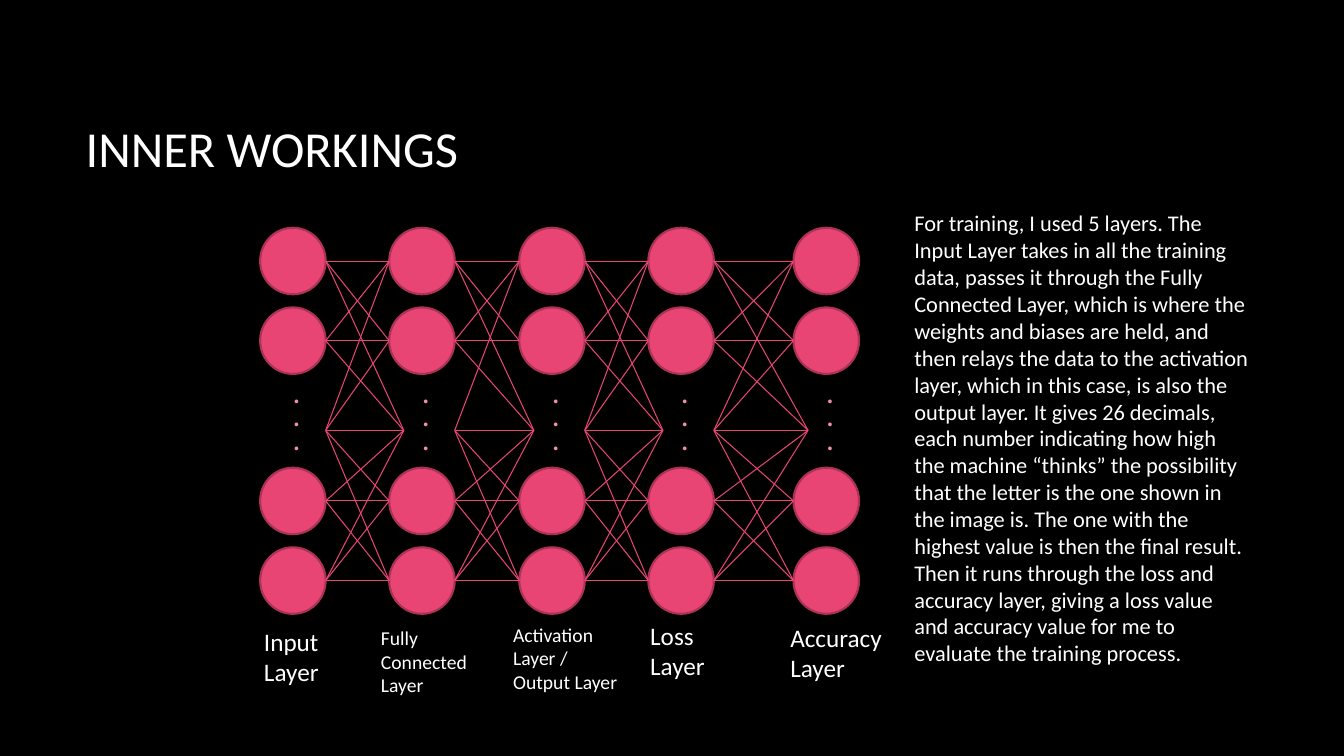
"""Build a slide that shows a neural network of five layers."""
from dataclasses import dataclass
from itertools import product

from lxml.etree import SubElement
from pptx import Presentation
from pptx.dml.color import RGBColor
from pptx.enum.shapes import MSO_CONNECTOR as Link, MSO_SHAPE as Form
from pptx.enum.text import MSO_ANCHOR as Anchor, MSO_AUTO_SIZE as Fit, PP_ALIGN as Align
from pptx.oxml.ns import qn
from pptx.slide import Slide
from pptx.text.text import TextFrame
from pptx.util import Inches, Pt

BLACK = RGBColor(0x00, 0x00, 0x00)
WHITE = RGBColor(0xFF, 0xFF, 0xFF)
PINK = RGBColor(0xE8, 0x45, 0x74)
ROSE = RGBColor(0xAC, 0x33, 0x56)
PALE = RGBColor(0xF1, 0x8F, 0xAC)

WIDE, TALL = 0.65, 0.66
NODES = (2.26, 3.05, 4.64, 5.43)
ROWS = (2.59, 3.38, 4.27, 4.97, 5.76)
MID = 2
INSET = 0.145
SKIP = {(1, MID, 1)}

STORY = (
    "For training, I used 5 layers. The Input Layer takes in all the training data, "
    "passes it through the Fully Connected Layer, which is where the weights and biases "
    "are held, and then relays the data to the activation layer, which in this case, is "
    "also the output layer. It gives 26 decimals, each number indicating how high the "
    "machine “thinks” the possibility that the letter is the one shown in the image is. "
    "The one with the highest value is then the final result. Then it runs through the "
    "loss and accuracy layer, giving a loss value and accuracy value for me to evaluate "
    "the training process."
)


@dataclass(frozen=True)
class Box:
    left: float
    top: float
    width: float
    height: float

    def sides(self) -> tuple:
        return tuple(map(Inches, (self.left, self.top, self.width, self.height)))


@dataclass(frozen=True)
class Layer:
    left: float
    name: str
    box: Box
    size: int = 18


LAYERS = (
    Layer(2.58, "Input Layer", Box(2.52, 6.16, 0.74, 0.71)),
    Layer(3.86, "Fully Connected Layer", Box(3.68, 6.16, 1.07, 0.81), 14),
    Layer(5.15, "Activation Layer / Output Layer", Box(4.99, 6.13, 1.25, 0.81), 14),
    Layer(6.43, "Loss Layer", Box(6.35, 6.1, 1.05, 0.71)),
    Layer(7.87, "Accuracy Layer", Box(7.74, 6.12, 1.27, 0.71)),
)


def write(frame: TextFrame, text: str, *, size: int, color: RGBColor = WHITE,
          bold: bool = False, fit: Fit = Fit.SHAPE_TO_FIT_TEXT,
          anchor: Anchor = Anchor.TOP) -> None:
    frame.word_wrap = True
    frame.auto_size = fit
    frame.vertical_anchor = anchor
    line = frame.paragraphs[0]
    line.alignment = Align.LEFT
    run = line.add_run()
    run.text = text
    font = run.font
    font.name, font.size, font.bold = "Calibri", Pt(size), bold
    font.color.rgb = color


def label(slide: Slide, box: Box, text: str, size: int) -> None:
    write(slide.shapes.add_textbox(*box.sides()).text_frame, text, size=size)


def node(slide: Slide, left: float, top: float) -> None:
    disc = slide.shapes.add_shape(Form.OVAL, *Box(left, top, WIDE, TALL).sides())
    disc.shadow.inherit = False
    disc.fill.solid()
    disc.fill.fore_color.rgb = PINK
    disc.line.color.rgb = ROSE
    disc.line.width = Pt(1.5)


def dots(slide: Slide, left: float) -> None:
    box = Box(left + INSET, 3.84, 0.5, 0.87)
    frame = slide.shapes.add_textbox(*box.sides()).text_frame
    write(frame, ". . .", size=18, color=PALE, bold=True)
    frame.margin_top = Inches(0.11)
    frame._txBody.bodyPr.set("vert", "eaVert")
    frame.paragraphs[0].runs[0].font._element.set("spc", "405")


def link(slide: Slide, start: tuple[float, float], end: tuple[float, float]) -> None:
    wire = slide.shapes.add_connector(Link.STRAIGHT, *map(Inches, start + end))
    wire.line.color.rgb = PINK
    wire.line.width = Pt(0.75)
    SubElement(wire._element.spPr, qn("a:effectLst"))


def web(slide: Slide) -> None:
    for gap, (near, far) in enumerate(zip(LAYERS, LAYERS[1:])):
        for a, b in product(range(len(ROWS)), repeat=2):
            half = max(a, b) <= MID or min(a, b) >= MID
            if half and (gap, a, b) not in SKIP:
                end = far.left + (INSET if b == MID else 0)
                link(slide, (near.left + WIDE, ROWS[a]), (end, ROWS[b]))


def main() -> None:
    deck = Presentation()
    deck.slide_width, deck.slide_height = Inches(13.33), Inches(7.5)
    slide = deck.slides.add_slide(deck.slide_layouts[5])
    slide.background.fill.solid()
    slide.background.fill.fore_color.rgb = BLACK

    title = slide.shapes.title
    title.left, title.top, title.width, title.height = Box(0.75, 0.67, 11.08, 1.59).sides()
    write(title.text_frame, "INNER WORKINGS", size=36, fit=Fit.NONE, anchor=Anchor.MIDDLE)

    for layer in LAYERS:
        for top in NODES:
            node(slide, layer.left, top)
        dots(slide, layer.left)
    web(slide)
    for layer in LAYERS:
        label(slide, layer.box, layer.name, layer.size)
    label(slide, Box(8.97, 2.03, 3.51, 4.68), STORY, 16)
    deck.save("out.pptx")


if __name__ == "__main__":
    main()
